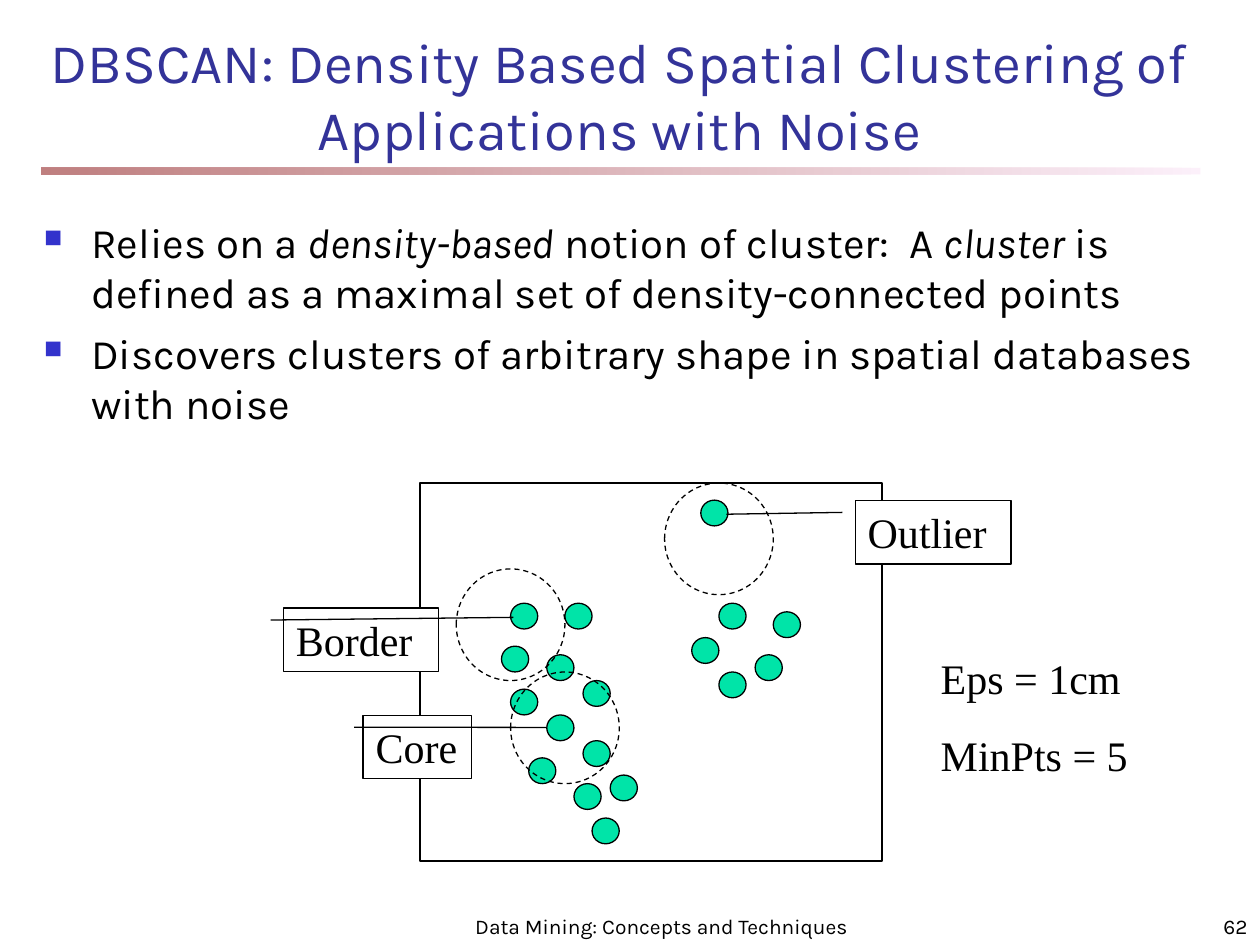
import pptx
import pptx.util
import pptx.dml.color
import pptx.enum.dml
import pptx.enum.shapes
import pptx.enum.text
import pptx.oxml.ns
from lxml import etree

Pt = pptx.util.Pt
SHAPE = pptx.enum.shapes.MSO_SHAPE
ALIGN = pptx.enum.text.PP_ALIGN
ANCHOR = pptx.enum.text.MSO_ANCHOR
qn = pptx.oxml.ns.qn

# Content: runs are (text, italic)
TITLE = "DBSCAN: Density Based Spatial Clustering of Applications with Noise"
BULLETS = [
    [("Relies on a ", False), ("density-based", True),
     (" notion of cluster:  A ", False), ("cluster", True),
     (" is defined as a maximal set of density-connected points", False)],
    [("Discovers clusters of arbitrary shape in spatial databases with noise", False)],
]
PARAMETERS = [[("Eps = 1cm", False)], [("MinPts = 5", False)]]
FOOTER = "Data Mining: Concepts and Techniques"
PAGE_NUMBER = "62"

# Diagram positions as (column, row) of a grid laid over the frame
LEFT_CLUSTER = [(10, 14), (9, 19), (14, 20), (16, 14), (18, 23), (10, 24), (14, 27),
                (12, 32), (17, 35), (19, 39), (18, 30), (21, 34)]
RIGHT_CLUSTER = [(33, 14), (30, 18), (37, 20), (39, 15), (33, 22)]
OUTLIER = [(31, 2)]
NEIGHBOURHOODS = [(4, 10), (10, 22), (27, 0)]

# Label, box in points, leader line adjustments
CALLOUTS = [
    ("Core", (207.5, 408.75, 62, 36.25), (0.188, -0.083, 0.191, 1.687)),
    ("Border", (162, 347.5, 88.5, 36.25), (0.188, -0.083, 0.146, 1.485)),
    ("Outlier", (488.75, 286, 89, 36.25), (0.188, -0.083, 0.217, -0.828)),
]

THEME = {
    "sans": "Karla", "serif": "Times New Roman",
    "title_size": 32, "body_size": 24, "footer_size": 12,
    "title": "333399", "text": "000000", "bullet": "3333CC",
    "dot": "00E4A8", "label": "FFFFFF", "line": "000000",
    "rule": ("FAE2F6", "800000"),
}
FRAME = (240, 276, 264, 216)
COLUMNS, ROWS = 51, 44
DOT_CELLS = (3, 3)
NEIGHBOURHOOD_CELLS = (12, 13)


def color(name):
    return pptx.dml.color.RGBColor.from_string(THEME[name])


def add_shape(slide, kind, box, fill=None, dashed=False):
    shape = slide.shapes.add_shape(kind, *map(Pt, box))
    shape.shadow.inherit = False
    if fill:
        shape.fill.solid()
        shape.fill.fore_color.rgb = color(fill)
    else:
        shape.fill.background()
    shape.line.color.rgb = color("line")
    shape.line.width = Pt(0.75)
    if dashed:
        shape.line.dash_style = pptx.enum.dml.MSO_LINE.DASH
    return shape


def add_bullet(paragraph):
    properties = paragraph._p.get_or_add_pPr()
    properties.set("marL", str(Pt(27)))
    properties.set("indent", str(-Pt(27)))
    bullet_color = etree.SubElement(properties, qn("a:buClr"))
    etree.SubElement(bullet_color, qn("a:srgbClr"), val=THEME["bullet"])
    etree.SubElement(properties, qn("a:buSzPct"), val="60000")
    etree.SubElement(properties, qn("a:buChar"), char="■")


def write(shape, paragraphs, font, size, text_color="text", align=ALIGN.LEFT,
          anchor=ANCHOR.TOP, gap=0, bulleted=False):
    frame = shape.text_frame
    frame.word_wrap = True
    frame.vertical_anchor = anchor
    for index, runs in enumerate(paragraphs):
        paragraph = frame.add_paragraph() if index else frame.paragraphs[0]
        paragraph.alignment = align
        if index and gap:
            paragraph.space_before = Pt(gap)
        if bulleted:
            add_bullet(paragraph)
        for text, italic in runs:
            run = paragraph.add_run()
            run.text = text
            run.font.name = THEME[font]
            run.font.size = Pt(THEME[size])
            run.font.italic = italic
            run.font.color.rgb = color(text_color)


def add_text(slide, box, paragraphs, font, size, **options):
    write(slide.shapes.add_textbox(*map(Pt, box)), paragraphs, font, size, **options)


def add_rule(slide):
    rule = add_shape(slide, SHAPE.RECTANGLE, (23.5, 96, 662.5, 3.75))
    rule.line.fill.background()
    rule.fill.gradient()
    rule.fill.gradient_angle = 180
    for stop, value in zip(rule.fill.gradient_stops, THEME["rule"]):
        stop.color.rgb = pptx.dml.color.RGBColor.from_string(value)
    for element in rule._element.spPr.iter(qn("a:srgbClr")):
        etree.SubElement(element, qn("a:alpha"), val="50000")


def grid_box(position, cells):
    left, top, width, height = FRAME
    step_x, step_y = width / COLUMNS, height / ROWS
    return (left + position[0] * step_x, top + position[1] * step_y,
            cells[0] * step_x, cells[1] * step_y)


def main():
    presentation = pptx.Presentation()
    presentation.slide_width, presentation.slide_height = Pt(720), Pt(540)
    slide = presentation.slides.add_slide(presentation.slide_layouts[6])

    # Heading and bullets
    add_rule(slide)
    add_text(slide, (18, 18, 672, 78), [[(TITLE, False)]], "sans", "title_size",
             text_color="title", align=ALIGN.CENTER, anchor=ANCHOR.BOTTOM)
    add_text(slide, (18, 120, 672, 396), BULLETS, "sans", "body_size",
             gap=6, bulleted=True)

    # Points, frame and neighbourhoods
    for position in LEFT_CLUSTER + OUTLIER + RIGHT_CLUSTER:
        add_shape(slide, SHAPE.OVAL, grid_box(position, DOT_CELLS), fill="dot")
    add_shape(slide, SHAPE.RECTANGLE, FRAME)
    for position in NEIGHBOURHOODS:
        add_shape(slide, SHAPE.OVAL, grid_box(position, NEIGHBOURHOOD_CELLS), dashed=True)

    # Labels with leader lines
    for label, box, adjustments in CALLOUTS:
        callout = add_shape(slide, SHAPE.LINE_CALLOUT_1, box, fill="label")
        for index, value in enumerate(adjustments):
            callout.adjustments[index] = value
        write(callout, [[(label, False)]], "serif", "body_size")

    # Parameters and footer
    add_text(slide, (530.5, 369.5, 129.5, 80), PARAMETERS, "serif", "body_size", gap=15)
    for text, box, align in [(FOOTER, (264, 510, 228, 30), ALIGN.CENTER),
                             (PAGE_NUMBER, (570, 510, 150, 30), ALIGN.RIGHT)]:
        add_text(slide, box, [[(text, False)]], "sans", "footer_size",
                 align=align, anchor=ANCHOR.BOTTOM)

    presentation.save("out.pptx")


if __name__ == "__main__":
    main()
